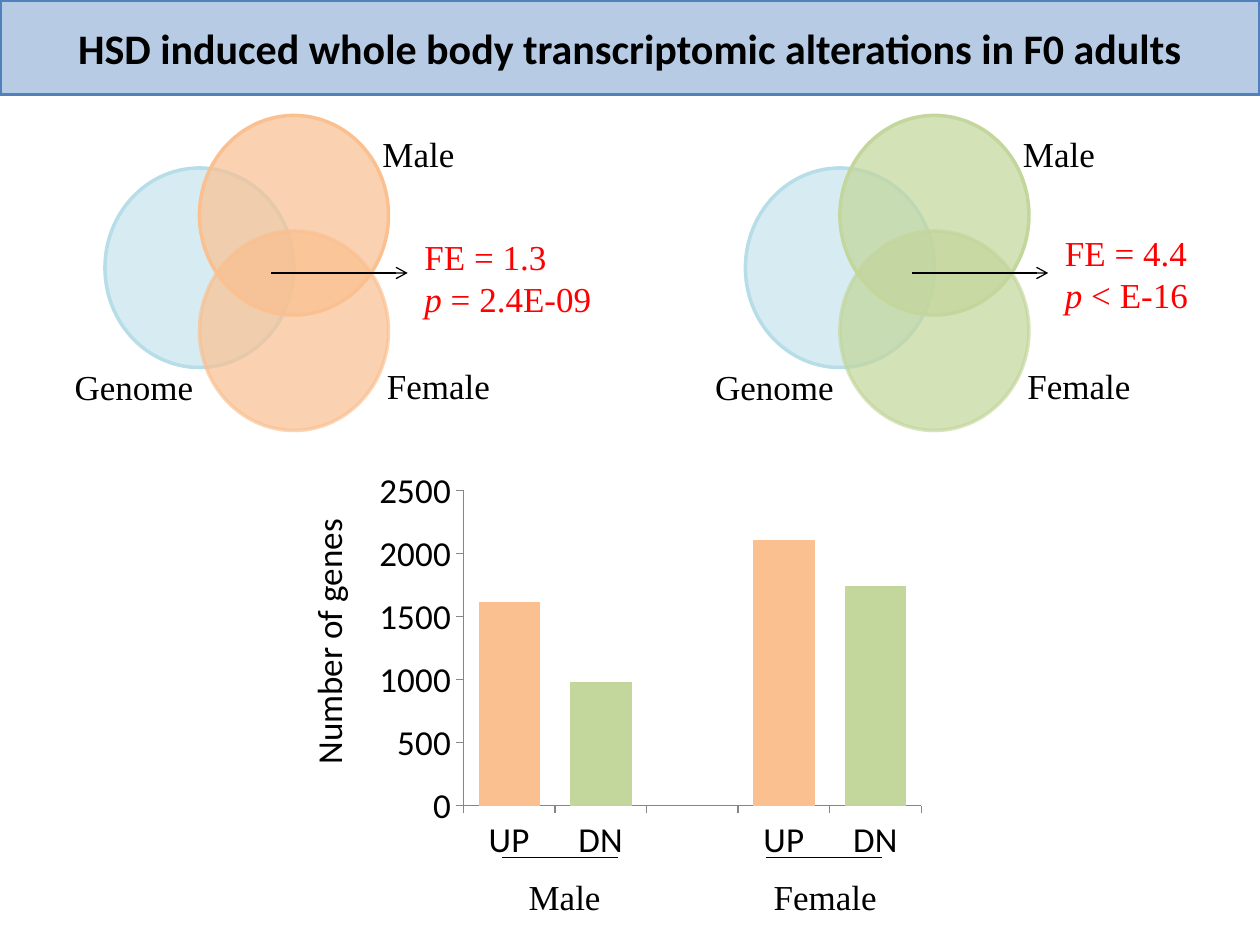
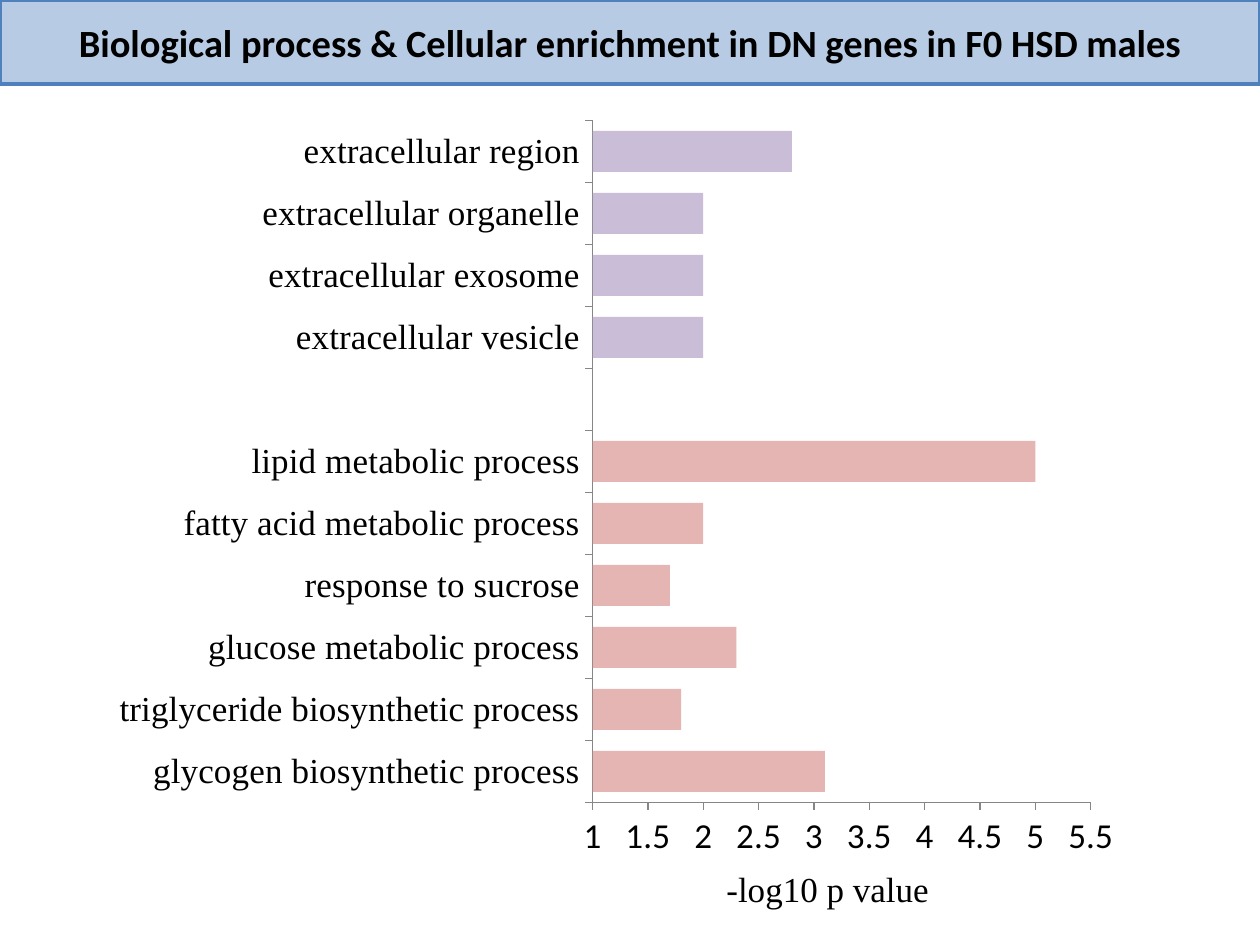
import dataclasses
import typing

import lxml.etree
import pptx
import pptx.chart.data
import pptx.dml.color
import pptx.enum.chart
import pptx.enum.shapes
import pptx.enum.text
import pptx.oxml.ns
import pptx.util

Pt = pptx.util.Pt
qn = pptx.oxml.ns.qn

HEX = {
    "black": "000000", "red": "FF0000", "grey": "868686",
    "band": "B7CCE4", "edge": "4F81BD", "blue": "B7DEE8",
    "orange": "FAC090", "green": "C3D69B",
    "rose": "D99694", "violet": "B3A2C7",
}
SANS, SERIF = "Calibri", "Times New Roman"
SIZE = 20


@dataclasses.dataclass
class Label:
    text: str
    left: float
    top: float
    width: float
    face: str = SERIF
    turn: float = 0


@dataclasses.dataclass
class Disc:
    left: float
    top: float
    color: str
    alpha: int
    edge: int = 100


@dataclasses.dataclass
class Venn:
    left: float
    color: str
    ratio: str
    chance: str
    note: float  # top of the red text


class Bar(typing.NamedTuple):
    name: str
    value: typing.Optional[float]
    color: str


class Plot(typing.NamedTuple):
    kind: typing.Any
    box: tuple  # left, top, width, height
    inner: tuple  # plot area as shares of the box
    gap: int
    low: float
    high: float
    step: float
    form: str
    face: str
    alpha: int


GAP = Bar("", None, "")

VENNS = [
    Venn(60, "orange", "FE = 1.3", " = 2.4E-09", 131),
    Venn(426, "green", "FE = 4.4", " < E-16", 129),
]

GENES = [
    Bar("UP", 1620, "orange"), Bar("DN", 980, "green"), GAP,
    Bar("UP", 2110, "orange"), Bar("DN", 1740, "green"),
]

# Listed from the bottom of the chart upwards
TERMS = [
    Bar("glycogen biosynthetic process", 3.1, "rose"),
    Bar("triglyceride biosynthetic process", 1.8, "rose"),
    Bar("glucose metabolic process", 2.3, "rose"),
    Bar("response to sucrose", 1.7, "rose"),
    Bar("fatty acid metabolic process", 2, "rose"),
    Bar("lipid metabolic process", 5, "rose"),
    GAP,
    Bar("extracellular vesicle", 2, "violet"),
    Bar("extracellular exosome", 2, "violet"),
    Bar("extracellular organelle", 2, "violet"),
    Bar("extracellular region", 2.8, "violet"),
]


# Shared helpers
def tint(name: str) -> pptx.dml.color.RGBColor:
    return pptx.dml.color.RGBColor.from_string(HEX[name])


def paint(fill, color: str, alpha: int = 100) -> None:
    fill.solid()
    fill.fore_color.rgb = tint(color)
    if alpha < 100:
        node = fill._xPr.find(qn("a:solidFill"))[0]
        lxml.etree.SubElement(node, qn("a:alpha"), val=str(alpha * 1000))


def style(font, size: float, face: str, color: str = "black") -> None:
    font.size = Pt(size)
    font.name = face
    font.color.rgb = tint(color)


def write(slide, label: Label, color: str = "black", height: float = 32):
    box = slide.shapes.add_textbox(
        Pt(label.left), Pt(label.top), Pt(label.width), Pt(height))
    box.rotation = label.turn
    frame = box.text_frame
    frame.word_wrap = False
    frame.auto_size = pptx.enum.text.MSO_AUTO_SIZE.SHAPE_TO_FIT_TEXT
    frame.text = label.text
    for para in frame.paragraphs:
        for run in para.runs:
            style(run.font, SIZE, label.face, color)
    return frame


def rule(slide, left: float, right: float, top: float,
         arrow: bool = False) -> None:
    line = slide.shapes.add_connector(
        pptx.enum.shapes.MSO_CONNECTOR.STRAIGHT,
        Pt(left), Pt(top), Pt(right), Pt(top))
    line.line.width = Pt(0.75)
    paint(line.line.fill, "black")
    if arrow:
        lxml.etree.SubElement(
            line.line.fill._xPr, qn("a:tailEnd"), type="arrow")
    lxml.etree.SubElement(line._element.spPr, qn("a:effectLst"))


def band(slide, text: str, height: float, size: float) -> None:
    bar = slide.shapes.add_shape(
        pptx.enum.shapes.MSO_SHAPE.RECTANGLE, 0, 0, Pt(720), Pt(height))
    bar.shadow.inherit = False
    paint(bar.fill, "band")
    paint(bar.line.fill, "edge")
    bar.line.width = Pt(2)
    frame = bar.text_frame
    frame.word_wrap = True
    frame.vertical_anchor = pptx.enum.text.MSO_ANCHOR.MIDDLE
    frame.text = text
    para = frame.paragraphs[0]
    para.alignment = pptx.enum.text.PP_ALIGN.CENTER
    style(para.runs[0].font, size, SANS)
    para.runs[0].font.bold = True


# Charts
def place(chart, inner: tuple) -> None:
    """Fix the inner plot area as shares of the chart box."""
    area = chart._chartSpace.chart.plotArea
    for old in area.findall(qn("c:layout")):
        area.remove(old)
    layout = lxml.etree.Element(qn("c:layout"))
    area.insert(0, layout)
    manual = lxml.etree.SubElement(layout, qn("c:manualLayout"))
    marks = [("layoutTarget", "inner"), ("xMode", "edge"), ("yMode", "edge")]
    for tag, val in marks + list(zip("xywh", inner)):
        lxml.etree.SubElement(manual, qn(f"c:{tag}"), val=str(val))


def graph(slide, plot: Plot, bars: list[Bar]) -> None:
    data = pptx.chart.data.CategoryChartData()
    data.categories = [bar.name for bar in bars]
    data.add_series("Series 1", [bar.value for bar in bars])
    chart = slide.shapes.add_chart(
        plot.kind, *(Pt(n) for n in plot.box), data).chart
    chart.has_legend = False
    chart.has_title = False
    style(chart.font, 10, SANS)
    place(chart, plot.inner)

    # Axes
    value = chart.value_axis
    value.minimum_scale, value.maximum_scale = plot.low, plot.high
    value.major_unit = plot.step
    value.tick_labels.number_format = plot.form
    value.tick_labels.number_format_is_linked = False
    for axis, face in ((chart.category_axis, plot.face), (value, SANS)):
        axis.has_major_gridlines = False
        axis.major_tick_mark = pptx.enum.chart.XL_TICK_MARK.OUTSIDE
        axis.minor_tick_mark = pptx.enum.chart.XL_TICK_MARK.NONE
        paint(axis.format.line.fill, "grey")
        axis.format.line.width = Pt(0.75)
        style(axis.tick_labels.font, SIZE, face)

    # Bars
    group = chart.plots[0]
    group.gap_width = plot.gap
    group.vary_by_categories = False
    row = group.series[0]
    row.invert_if_negative = False
    paint(row.format.fill, bars[-1].color)
    for spot, bar in enumerate(bars):
        if bar.value is not None:
            paint(row.points[spot].format.fill, bar.color, plot.alpha)


# Overlapping circles with their labels
def draw(slide, venn: Venn) -> None:
    left = venn.left
    discs = [
        Disc(left, 96, "blue", 55),
        Disc(left + 54, 66, venn.color, 70),
        Disc(left + 54, 132, venn.color, 70, 68),
    ]
    for disc in discs:
        oval = slide.shapes.add_shape(
            pptx.enum.shapes.MSO_SHAPE.OVAL,
            Pt(disc.left), Pt(disc.top), Pt(108), Pt(114))
        oval.shadow.inherit = False
        paint(oval.fill, disc.color, disc.alpha)
        paint(oval.line.fill, disc.color, disc.edge)
        oval.line.width = Pt(2)
    rule(slide, left + 95, left + 173, 156, arrow=True)
    for label in (Label("Male", left + 151.5, 72, 56),
                  Label("Female", left + 154, 204.5, 74),
                  Label("Genome", left - 24.5, 205.5, 85)):
        write(slide, label)
    note = Label(f"{venn.ratio}\np", left + 175.5, venn.note, 111)
    frame = write(slide, note, "red", 55)
    para = frame.paragraphs[1]
    para.runs[0].font.italic = True
    run = para.add_run()
    run.text = venn.chance
    style(run.font, SIZE, SERIF, "red")


def first(slide) -> None:
    kind = pptx.enum.chart.XL_CHART_TYPE.COLUMN_CLUSTERED
    graph(slide, Plot(kind, (210, 264, 323, 234), (0.17, 0.07, 0.81, 0.77),
                      49, 0, 2500, 500, "0", SANS, 100), GENES)
    for venn in VENNS:
        draw(slide, venn)
    for label, left in ((Label("Male", 295, 497, 56), 287),
                        (Label("Female", 435, 497, 74), 438)):
        write(slide, label)
        rule(slide, left, left + 66, 490)
    write(slide, Label("Number of genes", 110, 350, 156, SANS, 270))
    band(slide, "HSD induced whole body transcriptomic alterations "
                "in F0 adults", 54, 24)


def second(slide) -> None:
    kind = pptx.enum.chart.XL_CHART_TYPE.BAR_CLUSTERED
    graph(slide, Plot(kind, (54, 60, 593, 438), (0.48, 0.02, 0.48, 0.89),
                      51, 1, 5.5, 0.5, "General", SERIF, 70), TERMS)
    write(slide, Label("-log10 p value", 408, 492, 131))
    band(slide, "Biological process & Cellular enrichment in DN genes "
                "in F0 HSD males", 48, 22)


def main() -> None:
    deck = pptx.Presentation()
    deck.slide_width, deck.slide_height = Pt(720), Pt(540)
    for build in (first, second):
        build(deck.slides.add_slide(deck.slide_layouts[6]))
    deck.save("out.pptx")


if __name__ == "__main__":
    main()
